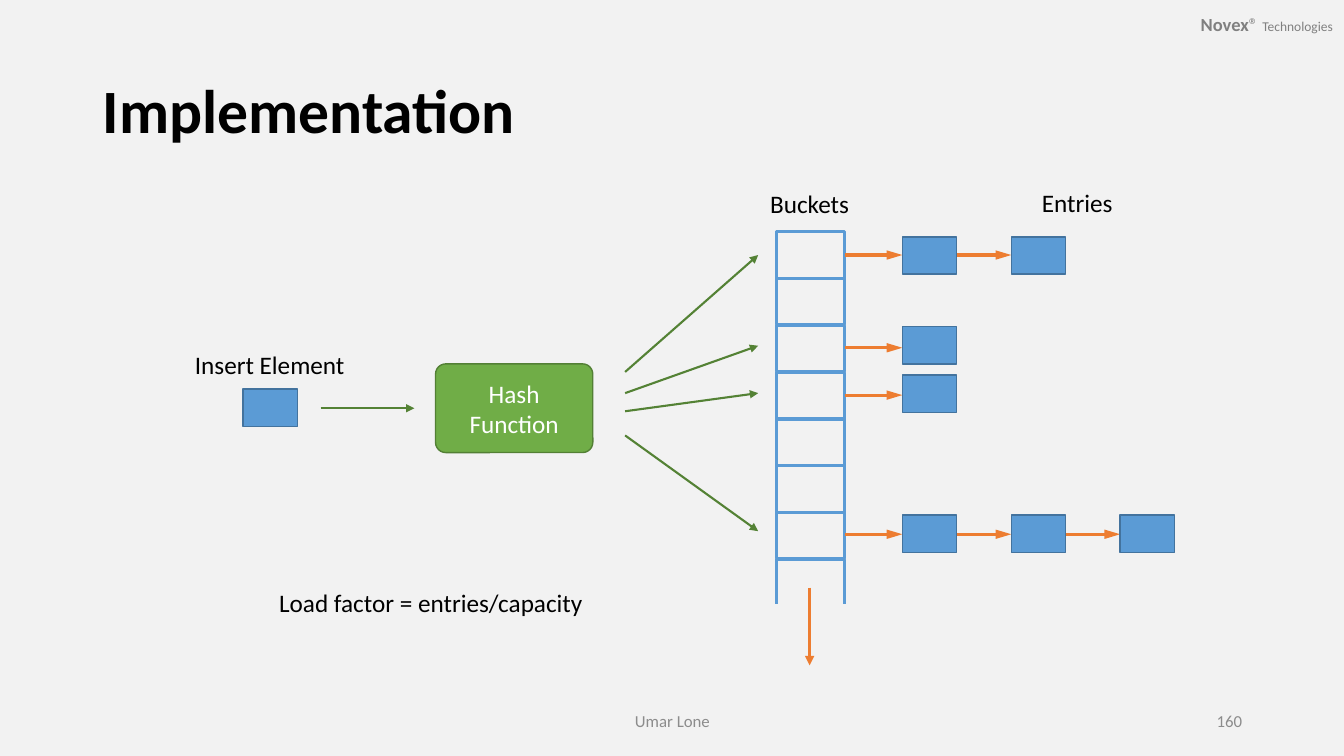
from dataclasses import dataclass

from lxml.etree import SubElement
from pptx import Presentation
from pptx.dml.color import RGBColor
from pptx.enum.shapes import MSO_CONNECTOR, MSO_SHAPE
from pptx.enum.text import MSO_ANCHOR, MSO_AUTO_SIZE, PP_ALIGN
from pptx.oxml.ns import qn
from pptx.util import Inches, Pt


@dataclass(frozen=True)
class Theme:
    """Colours, type sizes and line widths of the slide."""
    font: str = "Calibri"
    background: str = "F2F2F2"
    text: str = "000000"
    light: str = "FFFFFF"
    brand: str = "808080"
    footer: str = "8C8C8C"
    blue: str = "5B9BD5"
    blue_edge: str = "43739E"
    green: str = "70AD47"
    green_edge: str = "538035"
    green_arrow: str = "548235"
    orange: str = "ED7D31"
    title_size: float = 44
    label_size: float = 18
    brand_size: float = 13.2
    brand_small: float = 9.6
    footer_size: float = 12
    edge: float = 1
    arrow: float = 1.5
    heavy: float = 2.25


def apply_format(target, values):
    """Set each attribute of target from a dict of values."""
    for name, value in values.items():
        setattr(target, name, value)


class SlideBuilder:
    """Holds the theme and the current slide, and adds elements to it."""

    def __init__(self, slide, theme):
        """Keep the slide and theme, and paint the background."""
        self.slide = slide
        self.theme = theme
        fill = slide.background.fill
        fill.solid()
        fill.fore_color.rgb = RGBColor.from_string(theme.background)

    def fill_frame(self, frame, spans, align, anchor, wrap=True, spacing=None):
        """Put one paragraph of (text, size, colour, bold) spans in a frame."""
        apply_format(frame, {"auto_size": MSO_AUTO_SIZE.NONE, "word_wrap": wrap,
                             "vertical_anchor": anchor})
        para = frame.paragraphs[0]
        apply_format(para, {"alignment": align, "line_spacing": spacing})
        for text, size, colour, bold in spans:
            span = para.add_run()
            span.text = text
            apply_format(span.font, {"name": self.theme.font, "size": Pt(size), "bold": bold})
            span.font.color.rgb = RGBColor.from_string(colour)

    def title(self, text, left, top, width, height):
        """Place and format the title placeholder."""
        box = self.slide.shapes.title
        apply_format(box, {"left": Inches(left), "top": Inches(top),
                           "width": Inches(width), "height": Inches(height)})
        self.fill_frame(box.text_frame, [(text, self.theme.title_size, self.theme.text, True)],
                        PP_ALIGN.LEFT, MSO_ANCHOR.MIDDLE, spacing=0.9)

    def text(self, spans, left, top, width, height=0.4, align=PP_ALIGN.CENTER,
             anchor=MSO_ANCHOR.TOP, wrap=True):
        """Add a text box and return its text frame."""
        box = self.slide.shapes.add_textbox(*map(Inches, (left, top, width, height)))
        self.fill_frame(box.text_frame, spans, align, anchor, wrap)
        return box.text_frame

    def label(self, text, left, top, width, **options):
        """Add a diagram label."""
        self.text([(text, self.theme.label_size, self.theme.text, False)],
                  left, top, width, **options)

    def footer(self, text, left, width, align):
        """Add a footer text."""
        self.text([(text, self.theme.footer_size, self.theme.footer, False)],
                  left, 6.95, width, align=align, anchor=MSO_ANCHOR.MIDDLE)

    def shape(self, kind, left, top, width, height, edge, weight, fill=None):
        """Add an outlined shape, filled when a fill colour is given."""
        shape = self.slide.shapes.add_shape(kind, *map(Inches, (left, top, width, height)))
        shape.shadow.inherit = False
        if fill:
            shape.fill.solid()
            shape.fill.fore_color.rgb = RGBColor.from_string(fill)
        else:
            shape.fill.background()
        shape.line.color.rgb = RGBColor.from_string(edge)
        shape.line.width = Pt(weight)
        return shape

    def entry(self, left, top):
        """Add a blue element box."""
        self.shape(MSO_SHAPE.RECTANGLE, left, top, ENTRY_WIDTH, 0.37,
                   self.theme.blue_edge, self.theme.edge, self.theme.blue)

    def line(self, start, end, colour, weight, head_length=None):
        """Add a straight line, with an arrowhead when a head length is given."""
        line = self.slide.shapes.add_connector(
            MSO_CONNECTOR.STRAIGHT, *map(Inches, (*start, *end)))
        line.line.color.rgb = RGBColor.from_string(colour)
        line.line.width = Pt(weight)
        properties = line._element.spPr
        if head_length:
            SubElement(properties.find(qn("a:ln")), qn("a:tailEnd"),
                       type="triangle", w="med", len=head_length)
        SubElement(properties, qn("a:effectLst"))


BUCKET_LEFT, BUCKET_TOP, BUCKET_WIDTH, BUCKET_HEIGHT = 7.7, 2.3, 0.68, 0.46
BUCKET_COUNT, BUCKET_PITCH = 8, 3.25 / 7
ENTRY_LEFT, ENTRY_WIDTH, ENTRY_PITCH = 8.95, 0.54, 1.08
# Arrow height, entry top and entry count of each chain
CHAINS = [(2.53, 2.35, 2), (3.45, 3.24, 1), (3.92, 3.72, 1), (5.3, 5.11, 3)]
# Start and end heights of the arrows from the hash function to the buckets
HASH_ARROWS = [(3.69, 2.53), (3.9, 3.43), (4.08, 3.9), (4.32, 5.27)]


def draw_buckets(builder):
    """Draw the bucket column, open at its foot, and the arrow that continues it."""
    theme = builder.theme
    for index in range(BUCKET_COUNT):
        builder.shape(MSO_SHAPE.RECTANGLE, BUCKET_LEFT, BUCKET_TOP + index * BUCKET_PITCH,
                      BUCKET_WIDTH, BUCKET_HEIGHT, theme.blue, theme.heavy)
    builder.line((7.52, 6.01), (8.52, 6.01), theme.background, theme.heavy)
    builder.line((8.03, 5.83), (8.03, 6.6), theme.orange, theme.heavy, "med")
    builder.label("Buckets", 7.53, 1.82, 1)


def draw_chains(builder):
    """Draw the linked entries of the filled buckets."""
    theme = builder.theme
    for height, top, count in CHAINS:
        start = BUCKET_LEFT + BUCKET_WIDTH
        for index in range(count):
            left = ENTRY_LEFT + index * ENTRY_PITCH
            builder.line((start, height), (left, height), theme.orange, theme.heavy, "lg")
            builder.entry(left, top)
            start = left + ENTRY_WIDTH
    builder.label("Entries", 9.57, 1.81, 2.23)


def draw_hashing(builder):
    """Draw the inserted element, the hash function and its arrows."""
    theme = builder.theme
    builder.label("Insert Element", 1.77, 3.42, 1.81)
    builder.entry(2.41, 3.86)
    builder.line((3.18, 4.05), (4.11, 4.05), theme.green_arrow, theme.arrow, "med")
    function = builder.shape(MSO_SHAPE.ROUNDED_RECTANGLE, 4.32, 3.61, 1.56, 0.88,
                             theme.green_edge, theme.edge, theme.green)
    function.adjustments[0] = 0.115
    builder.fill_frame(function.text_frame,
                       [("Hash Function", theme.label_size, theme.light, False)],
                       PP_ALIGN.CENTER, MSO_ANCHOR.MIDDLE)
    for start, end in HASH_ARROWS:
        builder.line((6.2, start), (7.52, end), theme.green_arrow, theme.arrow, "med")


def main():
    """Build the slide and save the deck."""
    deck = Presentation()
    apply_format(deck, {"slide_width": Inches(13.33), "slide_height": Inches(7.5)})
    theme = Theme()
    builder = SlideBuilder(deck.slides.add_slide(deck.slide_layouts[5]), theme)
    brand = builder.text([("Novex", theme.brand_size, theme.brand, True),
                          ("® ", theme.brand_size, theme.brand, False),
                          ("Technologies", theme.brand_small, theme.brand, False)],
                         11.41, 0.01, 1.93, 0.45, PP_ALIGN.RIGHT, MSO_ANCHOR.MIDDLE)
    apply_format(brand, {"margin_left": Inches(0.12), "margin_right": Inches(0.12),
                         "margin_top": Inches(0.06), "margin_bottom": Inches(0.06)})
    builder.title("Implementation", 0.92, 0.4, 11.5, 1.45)
    draw_buckets(builder)
    draw_chains(builder)
    draw_hashing(builder)
    builder.label("Load factor = entries/capacity", 2.67, 5.78, 3.25,
                  align=PP_ALIGN.LEFT, wrap=False)
    builder.footer("Umar Lone", 4.42, 4.5, PP_ALIGN.CENTER)
    builder.footer("160", 9.42, 3, PP_ALIGN.RIGHT)
    deck.save("out.pptx")


main()
